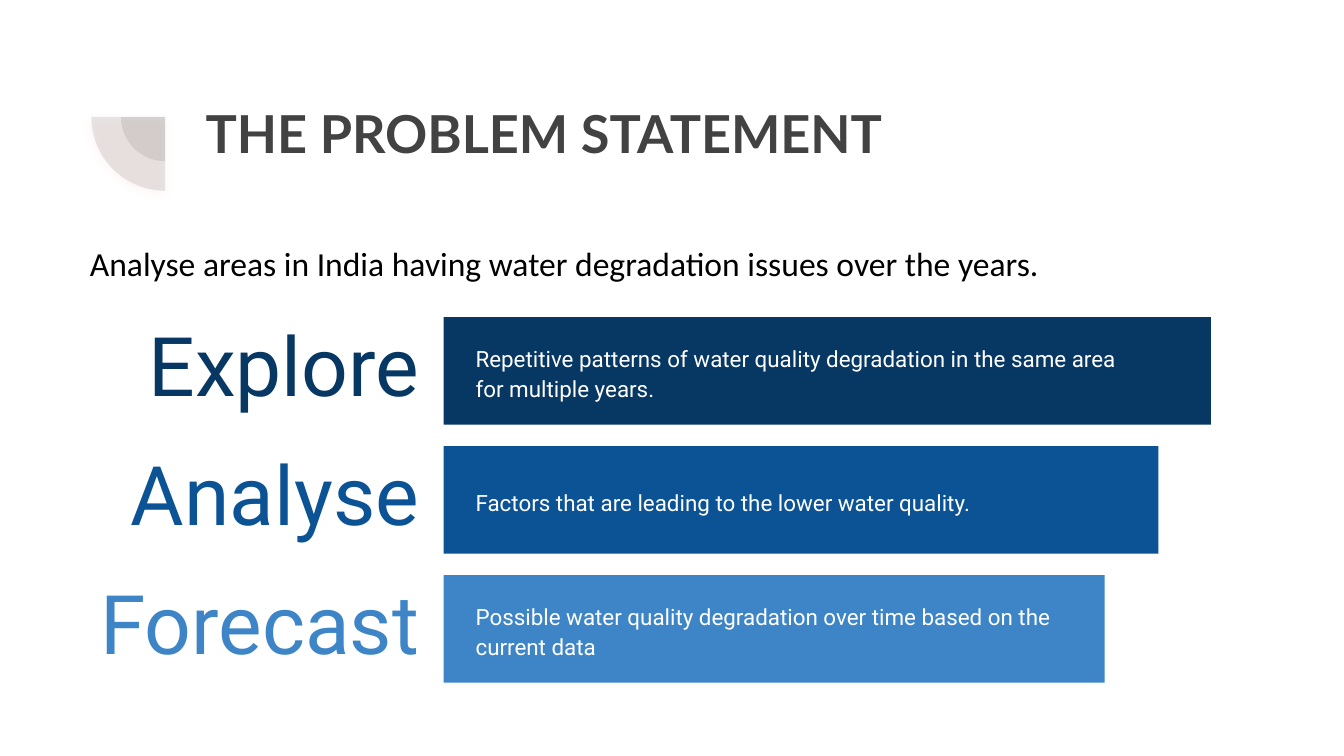
from lxml import etree
from pptx import Presentation
from pptx.dml.color import RGBColor
from pptx.enum.shapes import MSO_SHAPE
from pptx.enum.text import MSO_ANCHOR, PP_ALIGN
from pptx.oxml.ns import qn
from pptx.util import Inches, Pt

PIE, RECTANGLE = MSO_SHAPE.PIE, MSO_SHAPE.RECTANGLE
TOP, MIDDLE = MSO_ANCHOR.TOP, MSO_ANCHOR.MIDDLE
LEFT, RIGHT, JUSTIFY = PP_ALIGN.LEFT, PP_ALIGN.RIGHT, PP_ALIGN.JUSTIFY

COLORS = {
    "heading": "424242", "body": "000000", "white": "FFFFFF", "glow": "FD5B58",
    "navy": "073763", "blue": "0B5394", "sky": "3D85C6",
}

# keyword, color, bar width, caption width, caption
STEPS = [
    ("Explore", "navy", 5.71, 5.21,
     "Repetitive patterns of water quality degradation in the same area for multiple years."),
    ("Analyse", "blue", 5.32, 4.78,
     "Factors that are leading to the lower water quality."),
    ("Forecast", "sky", 4.92, 4.92,
     "Possible water quality degradation over time based on the current data"),
]
FIRST_BAR_TOP, BAR_PITCH, BAR_LEFT, BAR_HEIGHT = 2.36, 0.96, 3.3, 0.8


def rgb(name):
    return RGBColor.from_string(COLORS[name])


def set_text(shape, text, font, size, color, align=LEFT, spacing=1.0,
             anchor=MIDDLE, margin=0.05, bold=False):
    frame = shape.text_frame
    frame.text = text
    frame.word_wrap = True
    frame.vertical_anchor = anchor
    frame.margin_left = frame.margin_right = Inches(0.1)
    frame.margin_top = frame.margin_bottom = Inches(margin)
    paragraph = frame.paragraphs[0]
    paragraph.alignment = align
    paragraph.line_spacing = spacing
    paragraph.font.name = font
    paragraph.font.size = Pt(size)
    paragraph.font.bold = bold
    paragraph.font.color.rgb = rgb(color)


def add_text(slide, left, top, width, height, *text_settings, **options):
    box = slide.shapes.add_textbox(Inches(left), Inches(top), Inches(width), Inches(height))
    set_text(box, *text_settings, **options)


def add_filled_shape(slide, kind, left, top, width, height, color):
    shape = slide.shapes.add_shape(kind, Inches(left), Inches(top), Inches(width), Inches(height))
    shape.shadow.inherit = False
    shape.fill.solid()
    shape.fill.fore_color.rgb = rgb(color)
    shape.line.fill.background()
    return shape


def add_alpha(color_element, percent):
    etree.SubElement(color_element, qn("a:alpha"), val=str(percent * 1000))


def add_quarter_disc(slide, center_x, center_y, radius):
    """Add the translucent lower-left quarter of a disc."""
    disc = add_filled_shape(slide, PIE, center_x - radius, center_y - radius,
                            2 * radius, 2 * radius, "heading")
    disc.adjustments[0] = 54  # 90 degrees
    disc.adjustments[1] = 108  # 180 degrees
    add_alpha(disc.element.spPr.find(".//" + qn("a:srgbClr")), 12)
    return disc


def add_glow(shape):
    effects = shape.element.spPr.find(qn("a:effectLst"))
    shadow = etree.SubElement(effects, qn("a:outerShdw"), blurRad=str(Pt(4.5)),
                              dist=str(Pt(1.5)), dir="5400000", algn="bl", rotWithShape="0")
    color = etree.SubElement(shadow, qn("a:srgbClr"), val=COLORS["glow"])
    add_alpha(color, 49)


def add_title(slide, text):
    title = slide.shapes.title
    title.left, title.top = Inches(1.43), Inches(0.65)
    title.width, title.height = Inches(7.69), Inches(1.09)
    set_text(title, text, "Lato", 28, "heading", anchor=TOP, margin=0.1, bold=True)


def add_step(slide, top, keyword, color, bar_width, caption_width, caption):
    add_text(slide, 0.57, top + 0.05, 2.65, 0.69, keyword, "Roboto", 44, color,
             align=RIGHT, spacing=0.9)
    add_filled_shape(slide, RECTANGLE, BAR_LEFT, top, bar_width, BAR_HEIGHT, color)
    add_text(slide, BAR_LEFT + 0.14, top + 0.09, caption_width, 0.63, caption,
             "Roboto", 12, "white", spacing=1.15)


def main():
    presentation = Presentation()
    presentation.slide_width = Inches(10)
    presentation.slide_height = Inches(10) * 9 // 16
    slide = presentation.slides.add_slide(presentation.slide_layouts[5])

    add_quarter_disc(slide, 1.23, 0.87, 0.33)
    add_glow(add_quarter_disc(slide, 1.23, 0.87, 0.55))
    add_title(slide, "THE PROBLEM STATEMENT")
    add_text(slide, 0.57, 1.7, 8.05, 0.49,
             "Analyse areas in India having water degradation issues over the years.",
             "Calibri", 18, "body", align=JUSTIFY, spacing=1.08, margin=0.1)
    for index, step in enumerate(STEPS):
        add_step(slide, FIRST_BAR_TOP + index * BAR_PITCH, *step)

    presentation.save("out.pptx")


if __name__ == "__main__":
    main()
